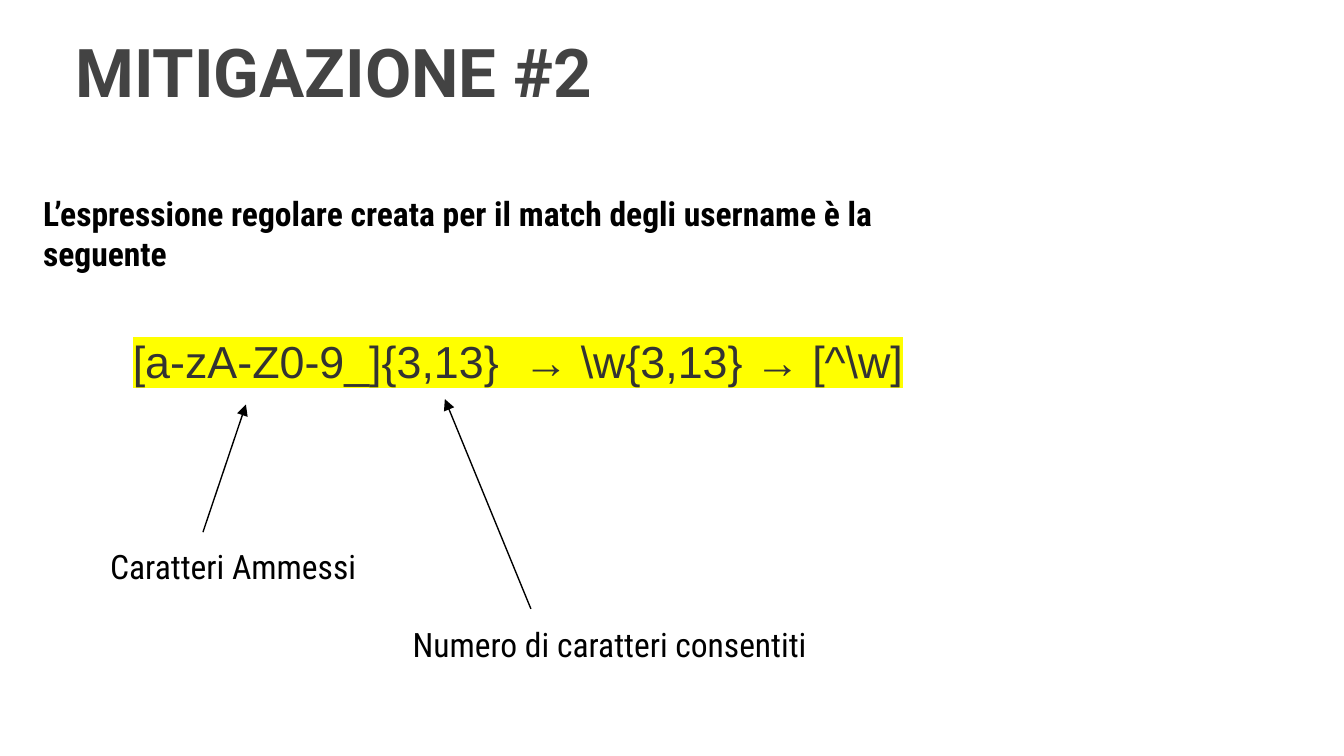
from lxml import etree
from pptx import Presentation
from pptx.dml.color import RGBColor
from pptx.enum.shapes import MSO_CONNECTOR
from pptx.enum.text import MSO_ANCHOR, MSO_AUTO_SIZE, PP_ALIGN
from pptx.oxml.ns import qn
from pptx.util import Inches, Pt

STRAIGHT = MSO_CONNECTOR.STRAIGHT
TOP, MIDDLE = MSO_ANCHOR.TOP, MSO_ANCHOR.MIDDLE
LEFT = PP_ALIGN.LEFT
NO_AUTOFIT = MSO_AUTO_SIZE.NONE

TITLE_ONLY = 5
CONDENSED = "Roboto Condensed"
COLORS = {
    "text": "000000",
    "heading": "434343",
    "regex": "333333",
    "highlight": "FFFF00",
}


def rgb(name):
    return RGBColor.from_string(COLORS[name])


def fill_text(shape, text, size, font_name, color, bold=False,
              anchor=TOP, inset=0.07, inset_y=None):
    """Write one left-aligned paragraph and return it."""
    frame = shape.text_frame
    frame.word_wrap = True
    frame.auto_size = NO_AUTOFIT
    frame.vertical_anchor = anchor
    frame.margin_left = frame.margin_right = Inches(inset)
    frame.margin_top = frame.margin_bottom = Inches(inset if inset_y is None else inset_y)
    paragraph = frame.paragraphs[0]
    paragraph.text = text
    paragraph.alignment = LEFT
    font = paragraph.font
    font.size, font.name, font.bold = Pt(size), font_name, bold
    font.color.rgb = rgb(color)
    return paragraph


def add_text(slide, box, *args, **options):
    shape = slide.shapes.add_textbox(*map(Inches, box))
    return fill_text(shape, *args, **options)


def highlight(run, color):
    mark = etree.SubElement(run.font._element, qn("a:highlight"))
    etree.SubElement(mark, qn("a:srgbClr"), val=COLORS[color])


def add_arrow(slide, start, end):
    arrow = slide.shapes.add_connector(STRAIGHT, *map(Inches, start + end))
    arrow.line.color.rgb = rgb("text")
    arrow.line.width = Pt(0.75)
    etree.SubElement(arrow.line._get_or_add_ln(), qn("a:tailEnd"), type="triangle")
    etree.SubElement(arrow._element.spPr, qn("a:effectLst"))


def main():
    prs = Presentation()
    prs.slide_width = Inches(10)
    prs.slide_height = prs.slide_width * 9 // 16
    slide = prs.slides.add_slide(prs.slide_layouts[TITLE_ONLY])

    # Introductory sentence in the title placeholder
    intro = slide.shapes.title
    intro.left, intro.top, intro.width, intro.height = map(Inches, (0.22, 1.17, 6.83, 1.13))
    fill_text(intro, "L’espressione regolare creata per il match degli username è la seguente",
              18, CONDENSED, "text", bold=True, anchor=MIDDLE, inset=0.1)

    # Heading
    add_text(slide, (0.49, 0.11, 4.62, 0.83), "MITIGAZIONE #2",
             36, "Roboto", "heading", bold=True, anchor=MIDDLE)

    # Labels and the arrows to the parts they explain
    annotations = [
        ("Caratteri Ammessi", (0.75, 3.99, 2.73, 0.58), (1.51, 3.96), (1.83, 3.01)),
        ("Numero di caratteri consentiti", (3, 4.57, 3.27, 0.56), (3.95, 4.53), (3.31, 2.97)),
    ]
    for label, box, start, end in annotations:
        add_text(slide, box, label, 18, CONDENSED, "text")
        add_arrow(slide, start, end)

    # Highlighted regular expression
    regex = add_text(slide, (0.89, 2.43, 6.83, 0.91),
                     r"[a-zA-Z0-9_]{3,13}  → \w{3,13} → [^\w]",
                     24, "Arial", "regex", inset=0.1, inset_y=0.05)
    highlight(regex.runs[0], "highlight")

    prs.save("out.pptx")


if __name__ == "__main__":
    main()
